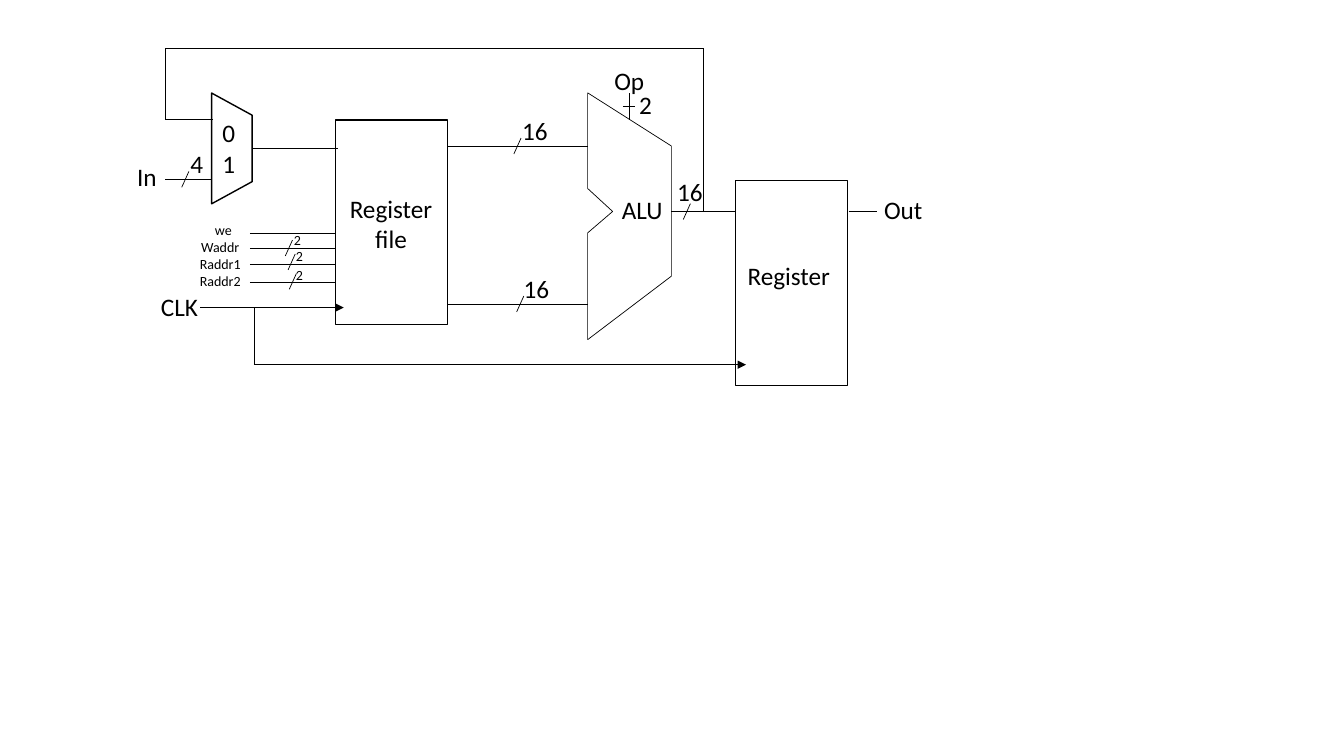
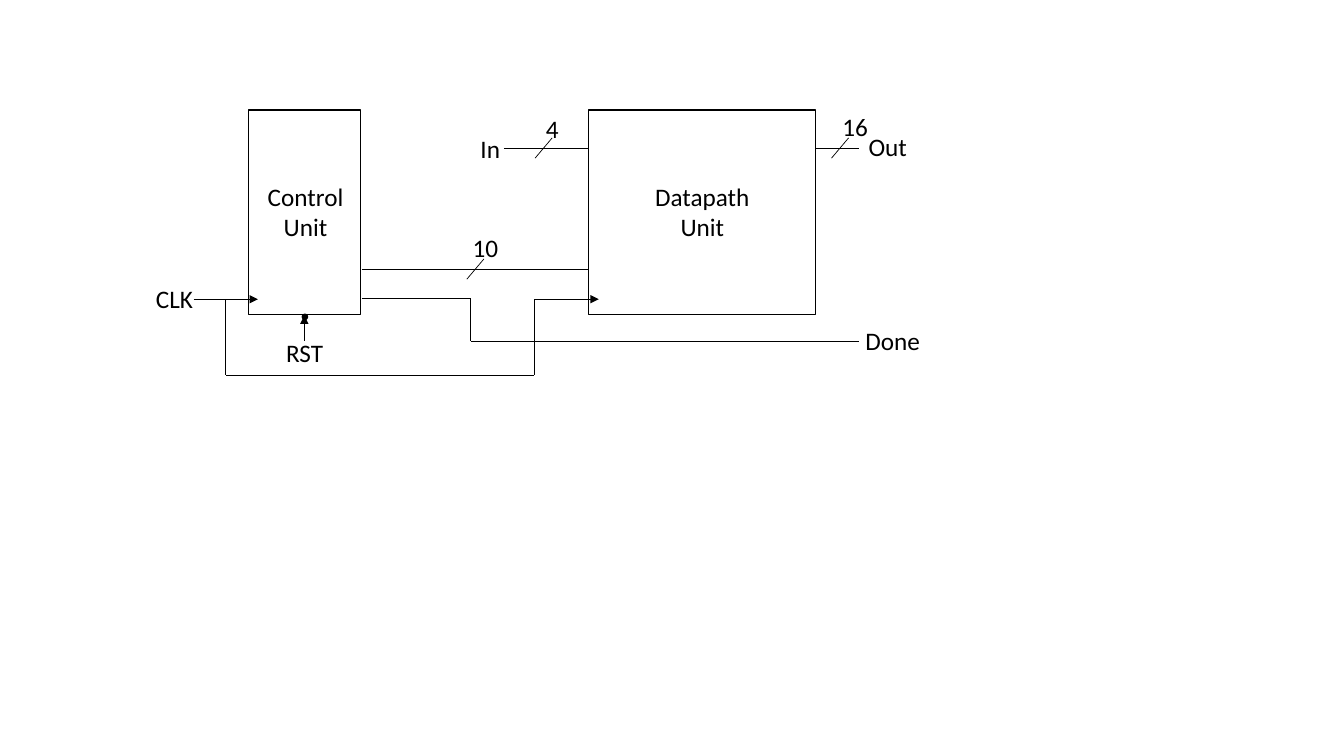
import itertools

import pptx
import pptx.dml.color
import pptx.enum.shapes
import pptx.enum.text
import pptx.oxml
import pptx.oxml.ns
import pptx.util

Cm = pptx.util.Cm
Pt = pptx.util.Pt
PRESET = pptx.enum.shapes.MSO_SHAPE
ALIGN = pptx.enum.text.PP_ALIGN

COLOURS = {"ink": "000000", "paper": "FFFFFF"}
BOX_FORMAT = {"word_wrap": True, "auto_size": pptx.enum.text.MSO_AUTO_SIZE.SHAPE_TO_FIT_TEXT}
FONT_FORMAT = {"name": "Calibri", "bold": False}
BLOCK_WIDTH, BLOCK_HEIGHT = 2.82, 5.16
LINE_HEIGHT, TWO_LINES, SMALL_LINE = 1.02, 1.8, 0.69
THIN, THICK = 0.5, 1


def apply_format(target, values):
    for attribute, value in values.items():
        setattr(target, attribute, value)


def colour(name):
    return pptx.dml.color.RGBColor.from_string(COLOURS[name])


def draw_line(line, width):
    line.color.rgb = colour("ink")
    line.width = Pt(width)


def block(slide, left, top, width=BLOCK_WIDTH, height=BLOCK_HEIGHT,
          preset=PRESET.RECTANGLE, fill="paper", rotation=0):
    outline = slide.shapes.add_shape(preset, Cm(left), Cm(top), Cm(width), Cm(height))
    apply_format(outline, {"rotation": rotation})
    outline.shadow.inherit = False
    outline.fill.solid()
    outline.fill.fore_color.rgb = colour(fill)
    draw_line(outline.line, THICK)


def polygon(slide, corners):
    points = [(Cm(x), Cm(y)) for x, y in corners]
    builder = slide.shapes.build_freeform(*points[0])
    builder.add_line_segments(points[1:], close=True)
    outline = builder.convert_to_shape()
    outline.shadow.inherit = False
    outline.fill.background()
    draw_line(outline.line, THIN)


def wire(slide, *points, arrow=False):
    for start, end in itertools.pairwise(points):
        segment = slide.shapes.add_connector(
            pptx.enum.shapes.MSO_CONNECTOR.STRAIGHT, *map(Cm, start + end))
        draw_line(segment.line, THIN)
        properties = segment._element.spPr
        pptx.oxml.ns.qn("a:effectLst")
        properties.append(pptx.oxml.parse_xml(
            f'<a:effectLst {pptx.oxml.ns.nsdecls("a")}/>'))
    if arrow:
        segment.line._get_or_add_ln().append(pptx.oxml.parse_xml(
            f'<a:tailEnd {pptx.oxml.ns.nsdecls("a")} type="triangle"/>'))


def bus_slash(slide, x, y, width, height):
    wire(slide, (x - width / 2, y + height / 2), (x + width / 2, y - height / 2))


def label(slide, text, left, top, width, height=LINE_HEIGHT, size=18, align=ALIGN.CENTER):
    frame = slide.shapes.add_textbox(Cm(left), Cm(top), Cm(width), Cm(height)).text_frame
    apply_format(frame, BOX_FORMAT)
    frame.text = text
    for paragraph in frame.paragraphs:
        paragraph.alignment = align
        for run in paragraph.runs:
            apply_format(run.font, FONT_FORMAT | {"size": Pt(size)})
            run.font.color.rgb = colour("ink")
    return frame


def draw_datapath(slide):
    block(slide, 4.45, 3.23, 2.79, 1.02, PRESET.FLOWCHART_MANUAL_OPERATION, rotation=270)
    block(slide, 8.46, 3.02)
    block(slide, 18.54, 4.55)
    polygon(slide, [(14.81, 2.34), (14.81, 4.75), (15.44, 5.33), (14.81, 5.87),
                    (14.81, 8.56), (16.92, 6.96), (16.92, 3.68)])

    for left, right, y in [(11.28, 14.81, 3.68), (11.28, 14.81, 7.67), (16.92, 18.54, 5.33),
                           (6.35, 8.51, 3.73), (4.17, 5.33, 4.52), (21.39, 22.1, 5.33),
                           (15.7, 16, 2.67)]:
        wire(slide, (left, y), (right, y))
    for control_y in (5.87, 6.25, 6.65, 7.11):
        wire(slide, (6.3, control_y), (8.46, control_y))
    wire(slide, (15.85, 3.02), (15.85, 2.34))
    wire(slide, (17.73, 5.33), (17.73, 1.22), (4.17, 1.22), (4.17, 3.02), (5.36, 3.02))
    wire(slide, (5.05, 7.75), (8.66, 7.75), arrow=True)
    wire(slide, (6.4, 7.75), (6.4, 9.19), (18.8, 9.19), arrow=True)

    for x, y in [(7.28, 6.25), (7.35, 6.6), (7.38, 7.09), (13.04, 3.68),
                 (13.11, 7.66), (17.31, 5.33), (4.67, 4.52)]:
        bus_slash(slide, x, y, 0.18, 0.4)

    label(slide, "Register file", 8.33, 4.75, 3.05, TWO_LINES)
    label(slide, "0\v1", 4.24, 2.84, 3.05, TWO_LINES)
    for text, left, top, width in [("ALU", 15.42, 4.78, 1.63), ("Register", 18.59, 6.43, 2.82),
                                   ("Out", 22.03, 4.78, 2.5)]:
        label(slide, text, left, top, width, align=ALIGN.LEFT)
    for text, left, top, width in [("CLK", 3, 7.21, 3.05), ("In", 2.18, 3.94, 3.05),
                                   ("4", 4.55, 3.61, 0.71), ("16", 12.4, 2.79, 2.16),
                                   ("16", 12.4, 6.76, 2.24), ("16", 16.31, 4.32, 2.16),
                                   ("Op", 14.78, 1.52, 2.16), ("2", 15.19, 2.13, 2.16)]:
        label(slide, text, left, top, width)
    for left, top in [(7.14, 5.72), (7.19, 6.1), (7.19, 6.58)]:
        label(slide, "2", left, top, 0.71, SMALL_LINE, size=10)
    signals = label(slide, "we\nWaddr\nRaddr1\nRaddr2", 4.14, 5.46, 2.82, 1.96, size=10)
    signals.paragraphs[0]._p.get_or_add_pPr().set("marL", str(Cm(0.16)))


def draw_system(slide):
    block(slide, 6.27, 2.77)
    block(slide, 14.83, 2.77, width=5.72)
    block(slide, 7.62, 7.92, 0.13, 0.13, PRESET.OVAL, fill="ink")

    for left, right, y in [(9.12, 14.83, 6.78), (12.7, 14.83, 3.73), (20.55, 21.64, 3.73)]:
        wire(slide, (left, y), (right, y))
    wire(slide, (9.12, 7.52), (11.86, 7.52), (11.86, 8.59), (21.64, 8.59))
    wire(slide, (4.88, 7.54), (6.5, 7.54), arrow=True)
    wire(slide, (5.69, 7.54), (5.69, 9.45), (13.46, 9.45), (13.46, 7.54), (15.09, 7.54),
         arrow=True)
    wire(slide, (7.67, 8.59), (7.67, 7.95), arrow=True)

    for x, y in [(11.98, 6.78), (13.7, 3.73), (21.17, 3.73)]:
        bus_slash(slide, x, y, 0.43, 0.51)

    for text, left in [("Datapath Unit", 16.05), ("Control Unit", 6.05)]:
        label(slide, text, left, 4.45, 3.3, TWO_LINES)
    for text, left, top, width in [("In", 11.86, 3.23, 1.12), ("10", 11.66, 5.74, 1.57),
                                   ("4", 13.51, 2.72, 1.57), ("16", 20.98, 2.67, 1.57),
                                   ("Out", 21.64, 3.18, 1.57), ("Done", 21.56, 8.08, 1.98),
                                   ("CLK", 3.68, 7.01, 1.65), ("RST", 6.96, 8.38, 1.65)]:
        label(slide, text, left, top, width, align=ALIGN.LEFT)


def main():
    presentation = pptx.Presentation()
    apply_format(presentation, {"slide_width": Cm(33.87), "slide_height": Cm(19.05)})
    for draw in (draw_datapath, draw_system):
        draw(presentation.slides.add_slide(presentation.slide_layouts[6]))
    presentation.save("out.pptx")


main()
